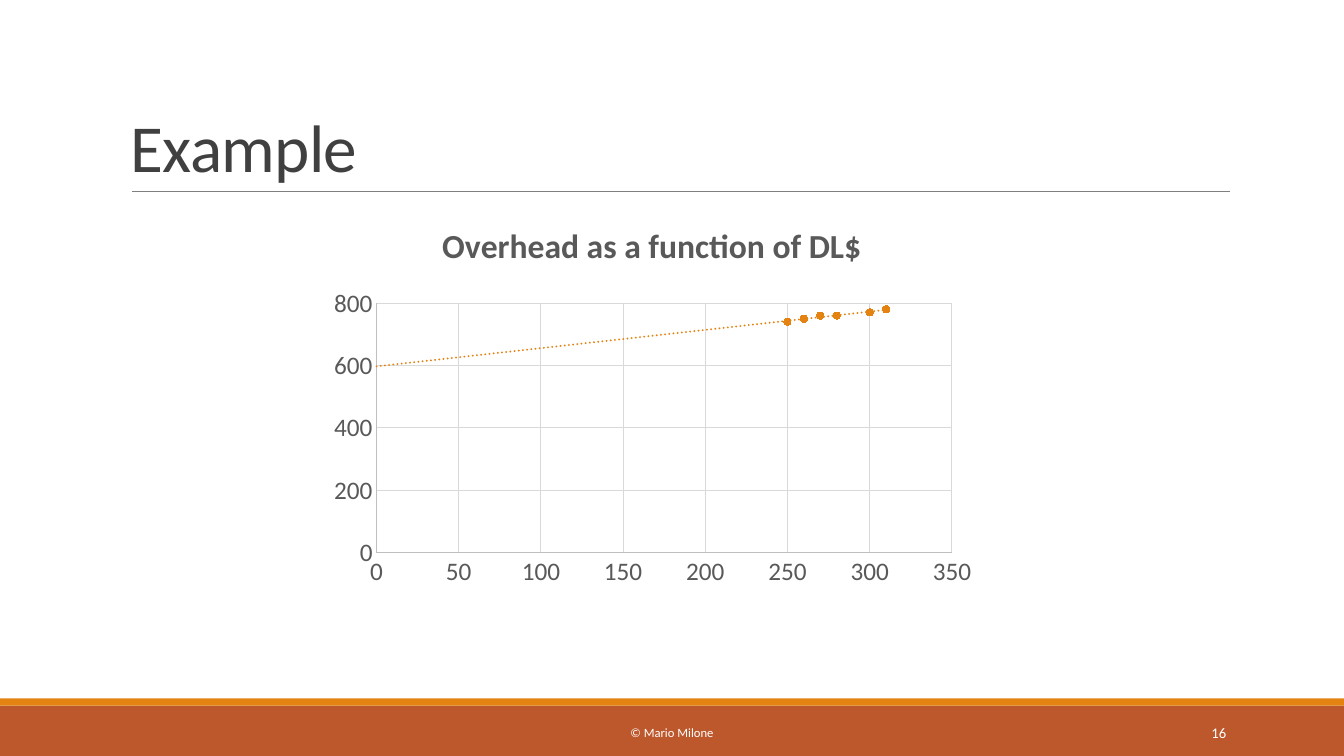
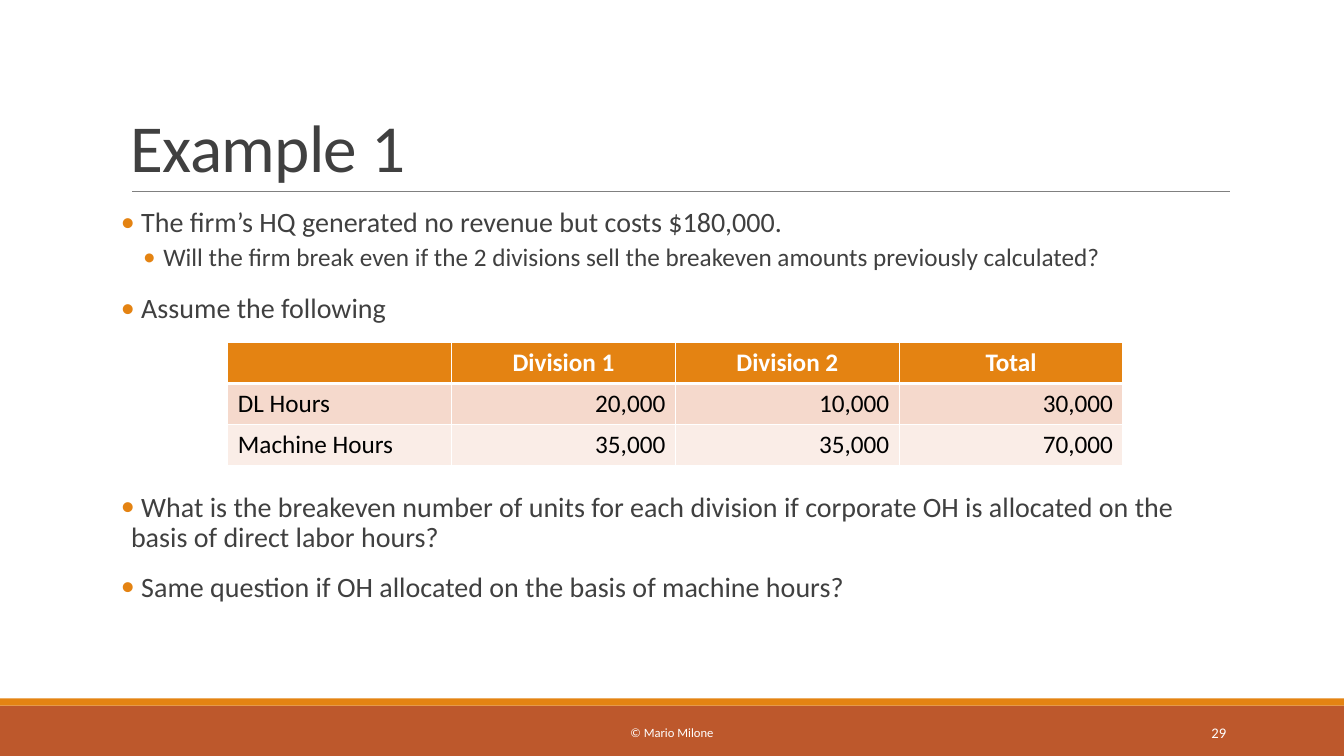
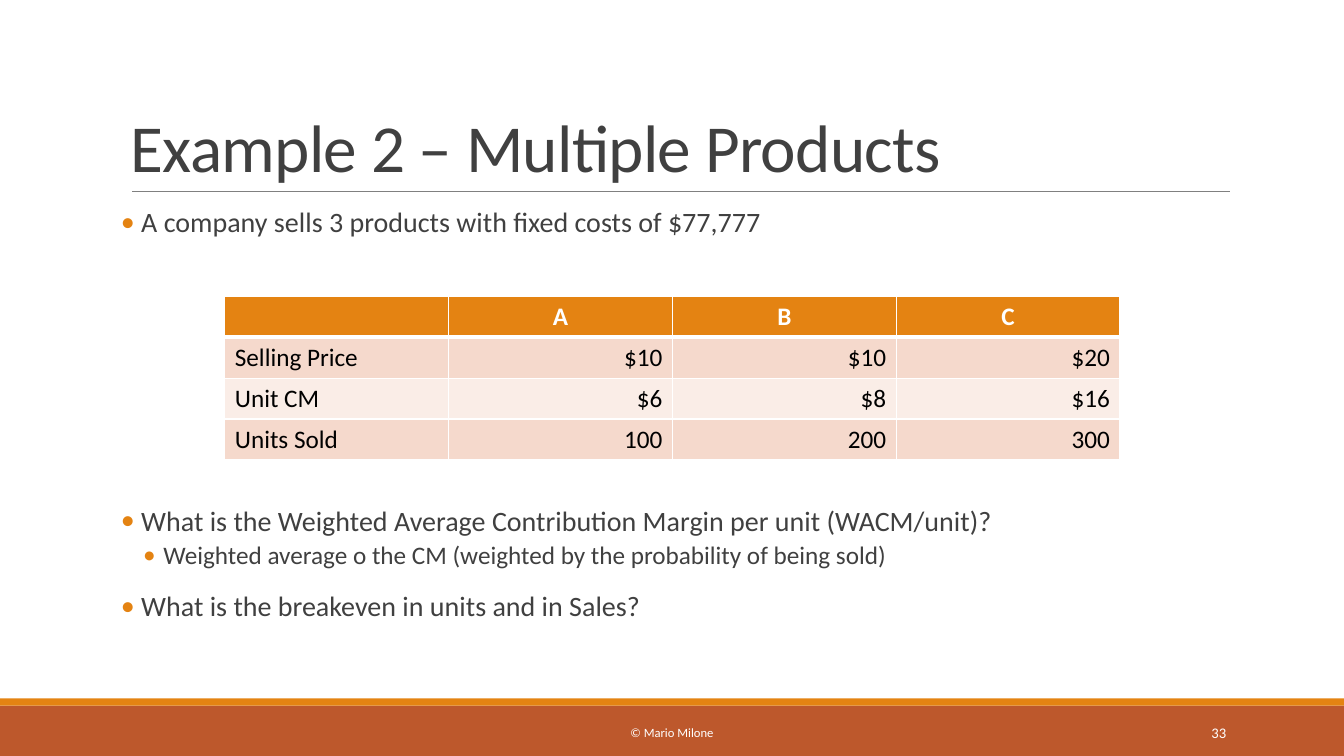
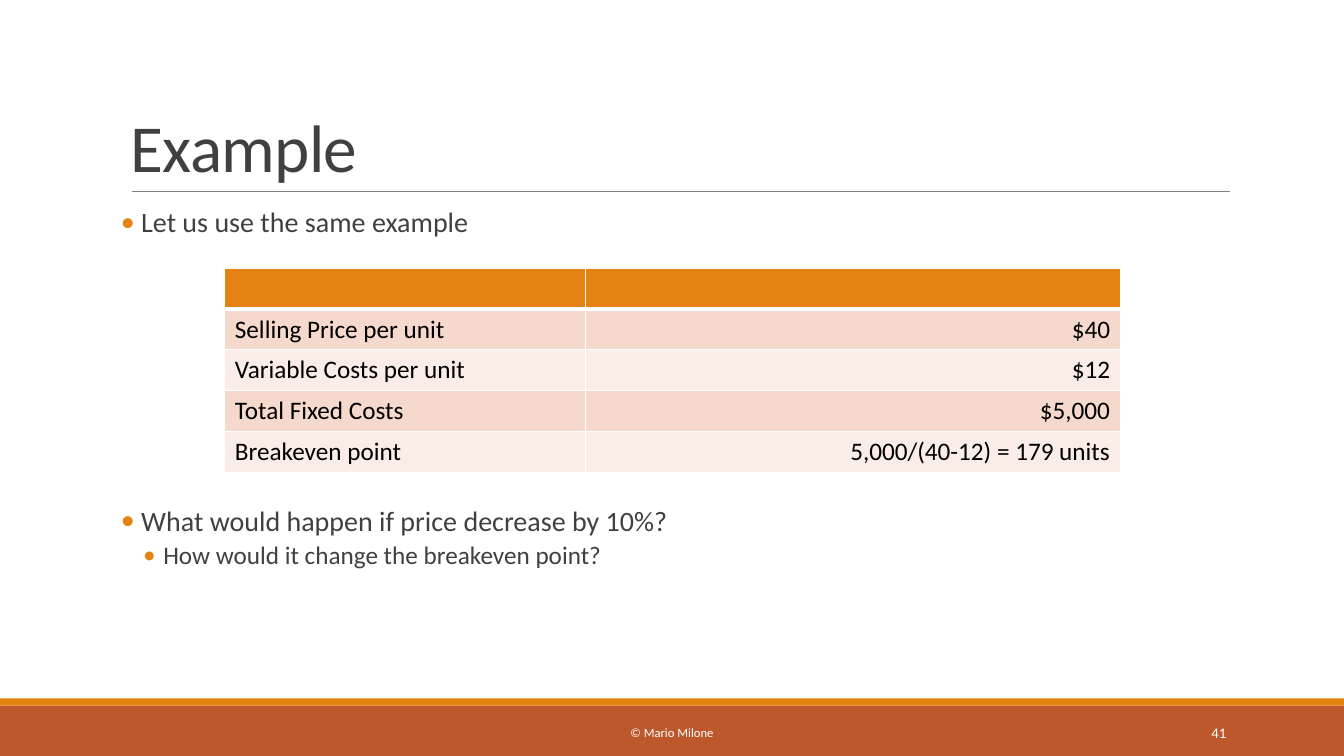
from pptx import Presentation
from pptx.chart.data import XyChartData
from pptx.dml.color import RGBColor
from pptx.enum.chart import XL_CHART_TYPE, XL_MARKER_STYLE, XL_TICK_MARK
from pptx.enum.shapes import MSO_CONNECTOR, MSO_SHAPE
from pptx.enum.text import MSO_ANCHOR, PP_ALIGN
from pptx.oxml import parse_xml
from pptx.oxml.ns import nsdecls, qn
from pptx.util import Emu, Pt

SCATTER = XL_CHART_TYPE.XY_SCATTER
DOT = XL_MARKER_STYLE.CIRCLE
NO_TICK = XL_TICK_MARK.NONE
LINE = MSO_CONNECTOR.STRAIGHT
RECT = MSO_SHAPE.RECTANGLE
TOP, MIDDLE, BOTTOM = MSO_ANCHOR.TOP, MSO_ANCHOR.MIDDLE, MSO_ANCHOR.BOTTOM
LEFT, CENTER, RIGHT = PP_ALIGN.LEFT, PP_ALIGN.CENTER, PP_ALIGN.RIGHT

SCALE = 9144  # EMU in one px, 100 px to the inch
FONT = "Calibri"
COLORS = {
    "rust": "BD582C", "orange": "E48312", "rule": "808080", "text": "404040",
    "white": "FFFFFF", "black": "000000", "dark": "F5D9CC", "light": "FAEDE7",
    "label": "595959", "axis": "BFBFBF", "grid": "D9D9D9",
}
FOOTER = "© Mario Milone"
WIDE, HIGH = 1333, 750
ROW = Pt(29.2)  # height of one line of 18 point text with its margins

# Bullet levels: indent and hang in px, then points
LEVELS = [
    {"left": 10, "hang": 10, "size": 20, "before": 12, "after": 2},
    {"left": 42, "hang": 20, "size": 18, "before": 2, "after": 4},
]

SLIDES = [
    {
        "title": "Example", "page": 16,
        "chart": {
            "box": (321, 204, 656, 387),
            "title": "Overhead as a function of DL$",
            "points": [(310, 780), (280, 760), (300, 770), (280, 760),
                       (280, 760), (260, 750), (270, 760), (260, 750),
                       (260, 750), (250, 740)],
        },
    },
    {
        "title": "Example 1", "page": 29,
        "bullets": [
            (202, [(0, " The firm’s HQ generated no revenue but costs $180,000."),
                   (1, "Will the firm break even if the 2 divisions sell the "
                       "breakeven amounts previously calculated?"),
                   (0, " Assume the following")]),
            (484, [(0, " What is the breakeven number of units for each division "
                       "if corporate OH is allocated on the basis of direct labor "
                       "hours?"),
                   (0, " Same question if OH allocated on the basis of machine "
                       "hours?")]),
        ],
        "table": {
            "at": (226, 340), "cols": [222] * 4,
            "rows": [("", "Division 1", "Division 2", "Total"),
                     ("DL Hours", "20,000", "10,000", "30,000"),
                     ("Machine Hours", "35,000", "35,000", "70,000")],
        },
    },
    {
        "title": "Example 2 – Multiple Products", "page": 33,
        "bullets": [
            (202, [(0, " A company sells 3 products with fixed costs of $77,777")]),
            (498, [(0, " What is the Weighted Average Contribution Margin per unit "
                       "(WACM/unit)?"),
                   (1, "Weighted average o the CM (weighted by the probability of "
                       "being sold)"),
                   (0, " What is the breakeven in units and in Sales?")]),
        ],
        "table": {
            "at": (223, 294), "cols": [222] * 4,
            "rows": [("", "A", "B", "C"),
                     ("Selling Price", "$10", "$10", "$20"),
                     ("Unit CM", "$6", "$8", "$16"),
                     ("Units Sold", "100", "200", "300")],
        },
    },
    {
        "title": "Example", "page": 41,
        "bullets": [
            (202, [(0, " Let us use the same example")]),
            (498, [(0, " What would happen if price decrease by 10%?"),
                   (1, "How would it change the breakeven point?")]),
        ],
        "table": {
            "at": (223, 266), "cols": [358, 530],
            "rows": [("", ""),
                     ("Selling Price per unit", "$40"),
                     ("Variable Costs per unit", "$12"),
                     ("Total Fixed Costs", "$5,000"),
                     ("Breakeven point", "5,000/(40-12) = 179 units")],
        },
    },
]


def px(*vals):
    return [Emu(val * SCALE) for val in vals]


def rgb(name):
    return RGBColor.from_string(COLORS[name])


def style(font, size, color, bold=False):
    font.name, font.size, font.bold = FONT, Pt(size), bold
    font.color.rgb = rgb(color)


def write(para, text, size=18, color="text", bold=False, align=LEFT,
          spacing=None, track=None):
    """Fill one paragraph; track is letter spacing in points."""
    para.alignment = align
    para.line_spacing = spacing
    run = para.add_run()
    run.text = text
    style(run.font, size, color, bold)
    if track:
        run.font._element.set("spc", str(int(track * 100)))


def frame(slide, box, anchor=TOP):
    area = slide.shapes.add_textbox(*px(*box)).text_frame
    area.word_wrap = True
    area.vertical_anchor = anchor
    return area


def add_bullets(slide, top, items):
    area = frame(slide, (120, top, 1100, 642 - top))
    area.margin_left = area.margin_right = 0
    for idx, (level, text) in enumerate(items):
        look = LEVELS[level]
        para = area.add_paragraph() if idx else area.paragraphs[0]
        props = para._p.get_or_add_pPr()
        left, hang = px(look["left"], look["hang"])
        props.set("marL", str(left))
        props.set("indent", str(-hang))
        for xml in (f'<a:buClr {nsdecls("a")}><a:srgbClr '
                    f'val="{COLORS["orange"]}"/></a:buClr>',
                    f'<a:buFont {nsdecls("a")} typeface="{FONT}"/>',
                    f'<a:buChar {nsdecls("a")} char="•"/>'):
            props.append(parse_xml(xml))
        para.space_before = Pt(look["before"] if idx else 0)
        para.space_after = Pt(look["after"])
        write(para, text, size=look["size"], spacing=0.9)


def add_band(slide, top, high, color):
    band = slide.shapes.add_shape(RECT, *px(0, top, WIDE, high))
    band.shadow.inherit = False
    band.fill.solid()
    band.fill.fore_color.rgb = rgb(color)
    band.line.fill.background()


def add_base(slide, title, page):
    """Draw the bands, rule, title and footer that every slide has."""
    add_band(slide, 700, 50, "rust")
    add_band(slide, 693, 7, "orange")
    rule = slide.shapes.add_connector(LINE, *px(131, 190, 1220, 190))
    rule.line.color.rgb = rgb("rule")
    rule.line.width = Pt(0.5)
    rule._element.spPr.append(parse_xml(f'<a:effectLst {nsdecls("a")}/>'))
    write(frame(slide, (120, 31, 1100, 159), BOTTOM).paragraphs[0], title,
          size=48, spacing=0.85, track=-0.5)
    write(frame(slide, (403, 707, 527, 40), MIDDLE).paragraphs[0], FOOTER,
          size=9, color="white", align=CENTER)
    write(frame(slide, (1083, 707, 143, 40), MIDDLE).paragraphs[0], str(page),
          size=10.5, color="white", align=RIGHT)


def add_edges(cell, head):
    props = cell._tc.get_or_add_tcPr()
    for side in "LRTB":
        width = Pt(3 if head and side == "B" else 1)
        props.append(parse_xml(
            f'<a:ln{side} {nsdecls("a")} w="{width}"><a:solidFill>'
            f'<a:srgbClr val="{COLORS["white"]}"/></a:solidFill></a:ln{side}>'))


def add_grid(slide, at, cols, rows):
    left, top, wide = px(*at, sum(cols))
    grid = slide.shapes.add_table(len(rows), len(cols), left, top, wide,
                                  ROW * len(rows)).table
    grid.horz_banding = False
    for col, span in zip(grid.columns, px(*cols)):
        col.width = span
    for r, texts in enumerate(rows):
        head = r == 0
        fill = "orange" if head else ("light", "dark")[r % 2]
        for c, text in enumerate(texts):
            cell = grid.cell(r, c)
            add_edges(cell, head)
            cell.fill.solid()
            cell.fill.fore_color.rgb = rgb(fill)
            if text:
                write(cell.text_frame.paragraphs[0], text, bold=head,
                      color="white" if head else "black",
                      align=CENTER if head else RIGHT if c else LEFT)


def set_layout(node, pos, spot, inner=False):
    """Place a chart part by fractions of the chart: x, y and maybe w, h."""
    old = node.find(qn("c:layout"))
    if old is not None:
        node.remove(old)
    target = '<c:layoutTarget val="inner"/>' if inner else ""
    modes = '<c:xMode val="edge"/><c:yMode val="edge"/>'
    sizes = "".join(f'<c:{key} val="{val}"/>' for key, val in zip("xywh", spot))
    node.insert(pos, parse_xml(
        f'<c:layout {nsdecls("c")}><c:manualLayout>{target}{modes}{sizes}'
        '</c:manualLayout></c:layout>'))


def add_trend(series, back):
    trend = parse_xml(
        f'<c:trendline {nsdecls("c", "a")}><c:spPr><a:ln w="{Pt(1.5)}" cap="rnd">'
        f'<a:solidFill><a:srgbClr val="{COLORS["orange"]}"/></a:solidFill>'
        '<a:prstDash val="sysDot"/></a:ln></c:spPr>'
        f'<c:trendlineType val="linear"/><c:backward val="{back}"/>'
        '<c:dispRSqr val="0"/><c:dispEq val="0"/></c:trendline>')
    series._element.find(qn("c:xVal")).addprevious(trend)


def add_scatter(slide, box, title, points):
    data = XyChartData()
    cloud = data.add_series("Series 1")
    for x, y in points:
        cloud.add_data_point(x, y)
    chart = slide.shapes.add_chart(SCATTER, *px(*box), data).chart
    style(chart.font, 18, "label")
    chart.has_legend = False
    chart.has_title = True
    write(chart.chart_title.text_frame.paragraphs[0], title, size=24,
          color="label", bold=True, align=CENTER)
    set_layout(chart.chart_title._element, 1, (0.17, 0.03))
    set_layout(chart._chartSpace.chart.plotArea, 0,
               (0.08, 0.25, 0.87, 0.64), inner=True)

    for axis, top, step in ((chart.category_axis, 350, 50),
                            (chart.value_axis, 800, 200)):
        axis.minimum_scale, axis.maximum_scale = 0, top
        axis.major_unit = step
        axis.major_tick_mark = axis.minor_tick_mark = NO_TICK
        axis.has_major_gridlines = True
        style(axis.tick_labels.font, 18, "label")
        for line, color in ((axis.format.line, "axis"),
                            (axis.major_gridlines.format.line, "grid")):
            line.color.rgb = rgb(color)
            line.width = Pt(0.75)

    plot = chart.plots[0]
    plot.vary_by_categories = False
    series = plot.series[0]
    series.format.line.fill.background()
    mark = series.marker
    mark.style, mark.size = DOT, 5
    mark.format.fill.solid()
    mark.format.fill.fore_color.rgb = rgb("orange")
    mark.format.line.color.rgb = rgb("orange")
    add_trend(series, min(x for x, _ in points))


def main():
    deck = Presentation()
    deck.slide_width, deck.slide_height = px(WIDE, HIGH)
    blank = deck.slide_layouts[6]
    for page in SLIDES:
        slide = deck.slides.add_slide(blank)
        add_base(slide, page["title"], page["page"])
        for top, items in page.get("bullets", []):
            add_bullets(slide, top, items)
        if "table" in page:
            add_grid(slide, **page["table"])
        if "chart" in page:
            add_scatter(slide, **page["chart"])
    deck.save("out.pptx")


if __name__ == "__main__":
    main()
